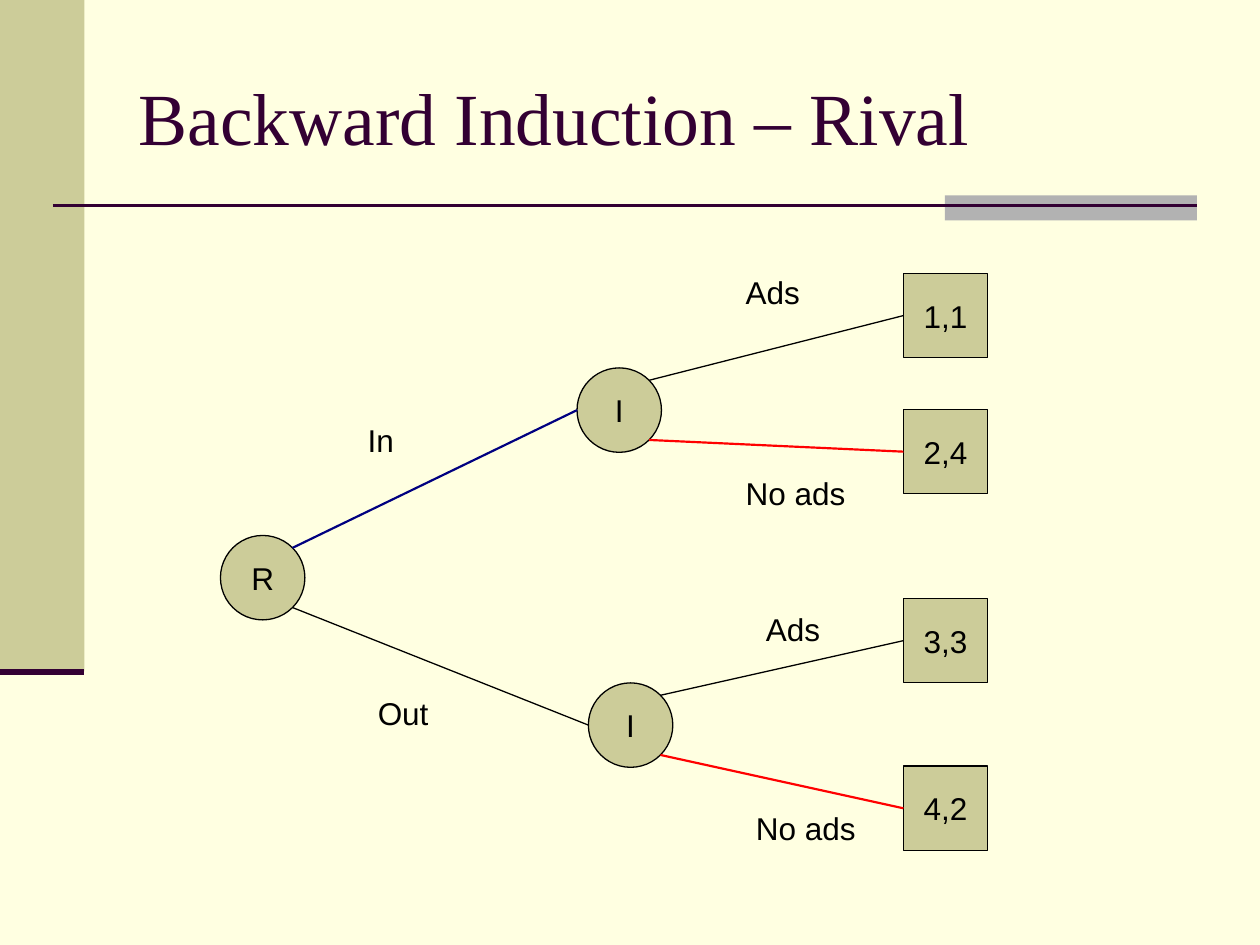
import math

import pptx
import pptx.dml.color
import pptx.enum.shapes
import pptx.enum.text
import pptx.oxml.ns
import pptx.util
from lxml import etree

Inches = pptx.util.Inches
RGBColor = pptx.dml.color.RGBColor
Shape = pptx.enum.shapes.MSO_SHAPE
Align = pptx.enum.text.PP_ALIGN
Anchor = pptx.enum.text.MSO_ANCHOR

CREAM = RGBColor(0xFF, 0xFF, 0xE1)
KHAKI = RGBColor(0xCC, 0xCC, 0x99)
GRAY = RGBColor(0xB2, 0xB2, 0xB2)
PLUM = RGBColor(0x33, 0x00, 0x33)
BLACK = RGBColor(0, 0, 0)
NAVY = RGBColor(0, 0, 0x80)
RED = RGBColor(0xFF, 0, 0)

# Content: the game tree
TITLE = "Backward Induction – Rival"
NODE_SIZE = 0.67
PAYOFF_LEFT = 7.17
PLAYERS = {  # key: (label, left, top)
    "rival": ("R", 1.75, 4.25),
    "after in": ("I", 4.58, 2.92),
    "after out": ("I", 4.67, 5.42),
}
PAYOFFS = {"1,1": 2.17, "2,4": 3.25, "3,3": 4.75, "4,2": 6.08}  # label: top
MOVES = [  # start, end, vertical direction, color, width, label, label left, top, width
    ("rival", "after in", -1, NAVY, 1.25, "In", 2.82, 3.29, 0.41),
    ("rival", "after out", 1, BLACK, 0.75, "Out", 2.9, 5.46, 0.6),
    ("after in", "1,1", -1, BLACK, 0.75, "Ads", 5.82, 2.12, 0.63),
    ("after in", "2,4", 1, RED, 1.25, "No ads", 5.82, 3.71, 0.99),
    ("after out", "3,3", -1, BLACK, 0.75, "Ads", 5.98, 4.79, 0.63),
    ("after out", "4,2", 1, RED, 1.25, "No ads", 5.9, 6.37, 0.99),
]


def write(frame, text, size, font, color, align, anchor):
    frame.text = text
    frame.vertical_anchor = anchor
    para = frame.paragraphs[0]
    para.alignment = align
    span = para.runs[0]
    span.font.size = pptx.util.Pt(size)
    span.font.name = font
    span.font.color.rgb = color


def add_block(page, kind, left, top, width, height, fill):
    block = page.shapes.add_shape(
        kind, Inches(left), Inches(top), Inches(width), Inches(height))
    block.shadow.inherit = False
    block.fill.solid()
    block.fill.fore_color.rgb = fill
    block.line.fill.background()
    return block


def add_line(page, x1, y1, x2, y2, color, width):
    line = page.shapes.add_connector(
        pptx.enum.shapes.MSO_CONNECTOR.STRAIGHT,
        Inches(x1), Inches(y1), Inches(x2), Inches(y2))
    line.line.color.rgb = color
    line.line.width = pptx.util.Pt(width)
    etree.SubElement(line._element.spPr, pptx.oxml.ns.qn("a:effectLst"))
    return line


def add_node(page, kind, text, left, top):
    node = add_block(page, kind, left, top, NODE_SIZE, NODE_SIZE, KHAKI)
    node.line.color.rgb = BLACK
    node.line.width = pptx.util.Pt(0.75)
    node.text_frame.word_wrap = False
    write(node.text_frame, text, 18, "Arial", BLACK, Align.CENTER, Anchor.MIDDLE)
    return node


def main():
    deck = pptx.Presentation()
    deck.slide_width, deck.slide_height = Inches(10), Inches(7.5)
    page = deck.slides.add_slide(deck.slide_layouts[5])
    page.background.fill.solid()
    page.background.fill.fore_color.rgb = CREAM

    # Side band and title rule
    add_block(page, Shape.RECTANGLE, 0, 0, 0.67, 5.33, KHAKI)
    add_block(page, Shape.RECTANGLE, 7.5, 1.55, 2, 0.2, GRAY)
    add_line(page, 0.42, 1.63, 9.5, 1.63, PLUM, 1.5)
    add_line(page, 0, 5.33, 0.67, 5.33, PLUM, 3.5)

    # Title
    title = page.shapes.title
    title.left, title.top = Inches(1), Inches(0.3)
    title.width, title.height = Inches(8.5), Inches(1.25)
    write(title.text_frame, TITLE, 42, "Times New Roman", PLUM, Align.LEFT, Anchor.MIDDLE)

    # Players and payoffs
    for label, left, top in PLAYERS.values():
        add_node(page, Shape.OVAL, label, left, top)
    payoff_boxes = {label: add_node(page, Shape.RECTANGLE, label, PAYOFF_LEFT, top)
                    for label, top in PAYOFFS.items()}

    # Moves leave a circle on its diagonal and reach the next node's left side
    radius = NODE_SIZE / 2
    diagonal = radius * math.sqrt(0.5)
    for start, end, side, color, weight, label, left, top, width in MOVES:
        start_left, start_top = PLAYERS[start][1:]
        end_left, end_top = PLAYERS[end][1:] if end in PLAYERS else (PAYOFF_LEFT, PAYOFFS[end])
        branch = add_line(page, start_left + radius + diagonal,
                          start_top + radius + side * diagonal,
                          end_left, end_top + radius, color, weight)
        if end in payoff_boxes:
            branch.end_connect(payoff_boxes[end], 1)
        box = page.shapes.add_textbox(Inches(left), Inches(top), Inches(width), Inches(0.4))
        box.text_frame.word_wrap = False
        write(box.text_frame, label, 18, "Arial", BLACK, Align.LEFT, Anchor.TOP)

    deck.save("out.pptx")


if __name__ == "__main__":
    main()
